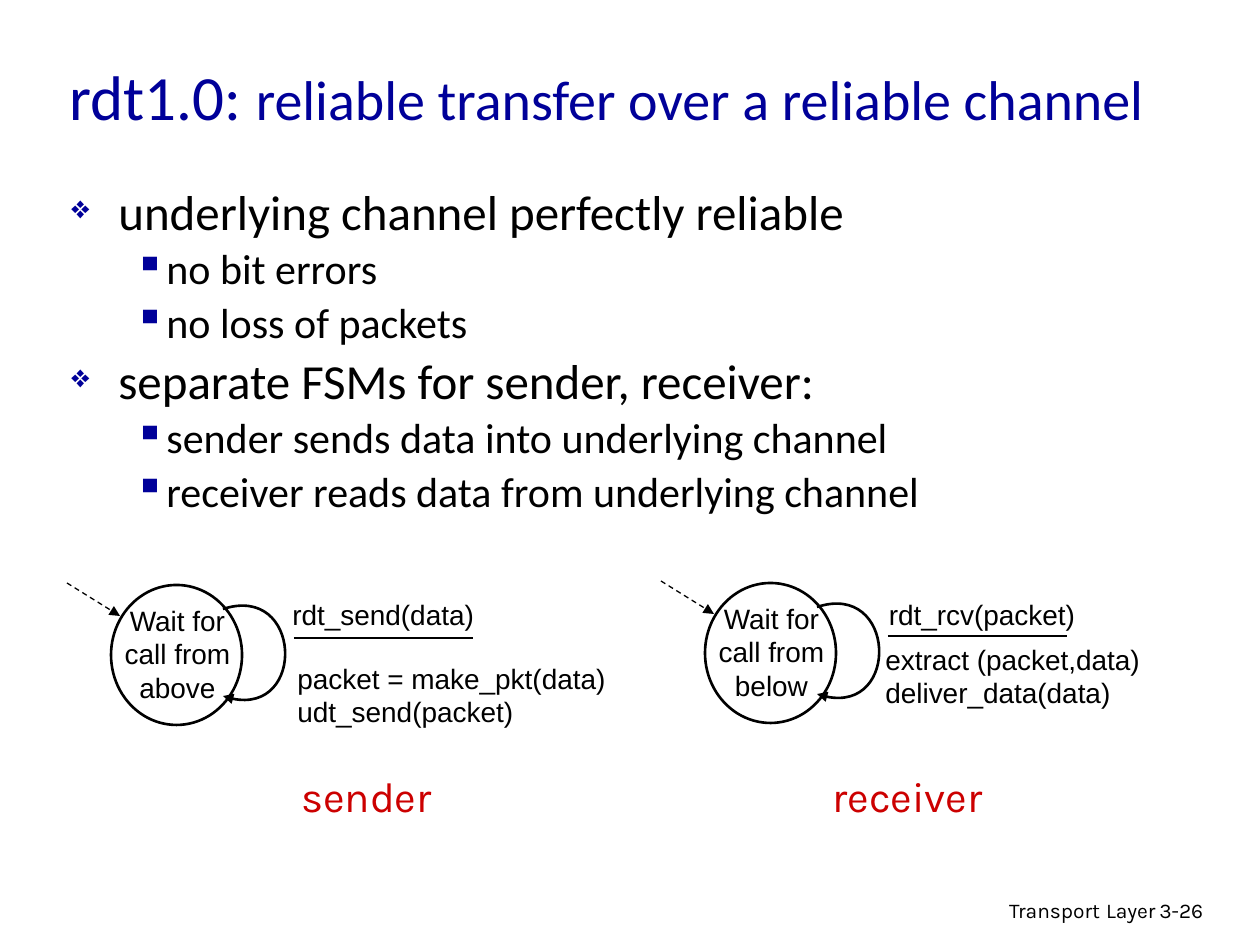
from dataclasses import dataclass

from lxml.etree import SubElement
from pptx import Presentation
from pptx.dml.color import RGBColor
from pptx.enum.dml import MSO_LINE
from pptx.enum.shapes import MSO_CONNECTOR, MSO_SHAPE
from pptx.enum.text import MSO_ANCHOR, MSO_AUTO_SIZE, PP_ALIGN
from pptx.oxml.ns import qn
from pptx.slide import Slide
from pptx.text.text import _Paragraph
from pptx.util import Emu, Pt

COLORS = {"ink": "000000", "paper": "FFFFFF", "navy": "000099", "red": "CC0000"}


@dataclass
class Label:
    left: int
    top: int
    width: int
    height: int
    lines: list[str]
    size: int = 16
    font: str = "Arial"
    color: str = "ink"
    align: PP_ALIGN = PP_ALIGN.LEFT
    wrap: bool = True


@dataclass
class Machine:
    left: int
    top: int
    state: str
    event: Label
    action: Label
    role: Label


@dataclass
class Level:
    size: int
    before: int
    margin: int
    indent: int
    bullet: str
    bullet_percent: int


LEVELS = [Level(28, 7, 47, -47, "❖", 65), Level(24, 6, 95, -32, "▪", 100)]

BULLETS = [
    (0, "underlying channel perfectly reliable"),
    (1, "no bit errors"),
    (1, "no loss of packets"),
    (0, "separate FSMs for sender, receiver:"),
    (1, "sender sends data into underlying channel"),
    (1, "receiver reads data from underlying channel"),
]

MACHINES = [
    Machine(
        111, 585, "Wait for call from above",
        Label(280, 591, 311, 59, ["rdt_send(data)"]),
        Label(285, 655, 369, 82, ["packet = make_pkt(data)", "udt_send(packet)"]),
        Label(286, 764, 161, 63, ["sender"], 24, "Karla", "red", PP_ALIGN.CENTER, False),
    ),
    Machine(
        705, 583, "Wait for call from below",
        Label(876, 591, 212, 47, ["rdt_rcv(packet)"], align=PP_ALIGN.CENTER, wrap=False),
        Label(873, 636, 343, 59, ["extract (packet,data)", "deliver_data(data)"]),
        Label(816, 764, 183, 63, ["receiver"], 24, "Karla", "red", PP_ALIGN.CENTER, False),
    ),
]


def px(value: int) -> Emu:
    return Emu(round(value * 914400 / 126))


def rgb(name: str) -> RGBColor:
    return RGBColor.from_string(COLORS[name])


def set_font(para: _Paragraph, name: str, color: str, size: int | None = None) -> None:
    para.font.name = name
    para.font.color.rgb = rgb(color)
    if size:
        para.font.size = Pt(size)


def add_spans(para: _Paragraph, spans: list[tuple[str, int]]) -> None:
    for text, size in spans:
        span = para.add_run()
        span.text = text
        span.font.size = Pt(size)


def add_box(slide: Slide, left: int, top: int, width: int, height: int):
    box = slide.shapes.add_textbox(px(left), px(top), px(width), px(height))
    box.text_frame.word_wrap = True
    return box.text_frame


def add_label(slide: Slide, label: Label) -> None:
    frame = add_box(slide, label.left, label.top, label.width, label.height)
    frame.word_wrap = label.wrap
    frame.text = "\n".join(label.lines)
    for para in frame.paragraphs:
        para.alignment = label.align
        set_font(para, label.font, label.color, label.size)


def add_title(slide: Slide) -> None:
    title = slide.shapes.title
    title.left, title.top, title.width, title.height = px(57), px(26), px(1102), px(139)
    frame = title.text_frame
    frame.auto_size = MSO_AUTO_SIZE.NONE
    frame.vertical_anchor = MSO_ANCHOR.MIDDLE
    para = frame.paragraphs[0]
    para.alignment = PP_ALIGN.LEFT
    set_font(para, "Calibri", "navy")
    add_spans(para, [("rdt1.0: ", 36), ("reliable transfer over a reliable channel", 32)])


def add_bullets(slide: Slide) -> None:
    frame = add_box(slide, 59, 184, 1089, 416)
    for index, (depth, text) in enumerate(BULLETS):
        level = LEVELS[depth]
        para = frame.add_paragraph() if index else frame.paragraphs[0]
        para.text = text
        para.level = depth
        para.line_spacing = 0.85
        para.space_before = Pt(level.before if index else 0)
        properties = para._p.get_or_add_pPr()
        properties.set("marL", str(px(level.margin)))
        properties.set("indent", str(px(level.indent)))
        bullet_color = SubElement(properties, qn("a:buClr"))
        SubElement(bullet_color, qn("a:srgbClr"), val=COLORS["navy"])
        SubElement(properties, qn("a:buSzPct"), val=str(level.bullet_percent * 1000))
        SubElement(properties, qn("a:buChar"), char=level.bullet)
        set_font(para, "Calibri", "ink", level.size)


def style_line(shape, width: float, arrow: bool = False) -> None:
    shape.line.color.rgb = rgb("ink")
    shape.line.width = Pt(width)
    if arrow:
        SubElement(shape.line._get_or_add_ln(), qn("a:tailEnd"), type="triangle")


def add_line(slide: Slide, start: tuple[int, int], end: tuple[int, int],
             width: float, dashed_arrow: bool = False) -> None:
    line = slide.shapes.add_connector(MSO_CONNECTOR.STRAIGHT, *map(px, start + end))
    if dashed_arrow:
        line.line.dash_style = MSO_LINE.DASH
    style_line(line, width, dashed_arrow)
    SubElement(line._element.spPr, qn("a:effectLst"))


def add_loop(slide: Slide, left: int, top: int) -> None:
    points = [(px(left + x), px(top + y)) for x, y in [(112, 24), (191, -2), (196, 140), (112, 111)]]
    builder = slide.shapes.build_freeform(*points[0])
    builder.add_line_segments(points[1:], close=False)
    loop = builder.convert_to_shape()
    loop.shadow.inherit = False
    loop.fill.background()
    style_line(loop, 1.5, arrow=True)
    outline = next(loop._element.iter(qn("a:path")))
    segments = outline.findall(qn("a:lnTo"))
    curve = SubElement(outline, qn("a:cubicBezTo"))
    for segment in segments:
        curve.append(segment[0])
        outline.remove(segment)


def add_machine(slide: Slide, machine: Machine) -> None:
    left, top = machine.left, machine.top
    circle = slide.shapes.add_shape(MSO_SHAPE.OVAL, px(left), px(top), px(131), px(140))
    circle.shadow.inherit = False
    circle.fill.solid()
    circle.fill.fore_color.rgb = rgb("paper")
    style_line(circle, 1.5)
    add_label(slide, Label(left - 9, top + 12, 151, 126, [machine.state], align=PP_ALIGN.CENTER))
    add_loop(slide, left, top)
    add_line(slide, (left + 183, top + 53), (left + 362, top + 53), 1.5)
    add_line(slide, (left - 44, top - 2), (left + 9, top + 31), 0.75, dashed_arrow=True)
    for label in (machine.event, machine.action, machine.role):
        add_label(slide, label)


def add_footer(slide: Slide) -> None:
    para = add_box(slide, 769, 888, 399, 39).paragraphs[0]
    para.alignment = PP_ALIGN.RIGHT
    set_font(para, "Karla", "ink")
    add_spans(para, [("Transport", 12), (" ", 14), ("Layer", 12)])
    add_label(slide, Label(1147, 891, 93, 38, ["3-26"], 12, "Karla"))


def main() -> None:
    deck = Presentation()
    deck.slide_width, deck.slide_height = px(1260), px(945)
    page = deck.slides.add_slide(deck.slide_layouts[5])
    add_title(page)
    add_bullets(page)
    for machine in MACHINES:
        add_machine(page, machine)
    add_footer(page)
    deck.save("out.pptx")


if __name__ == "__main__":
    main()
